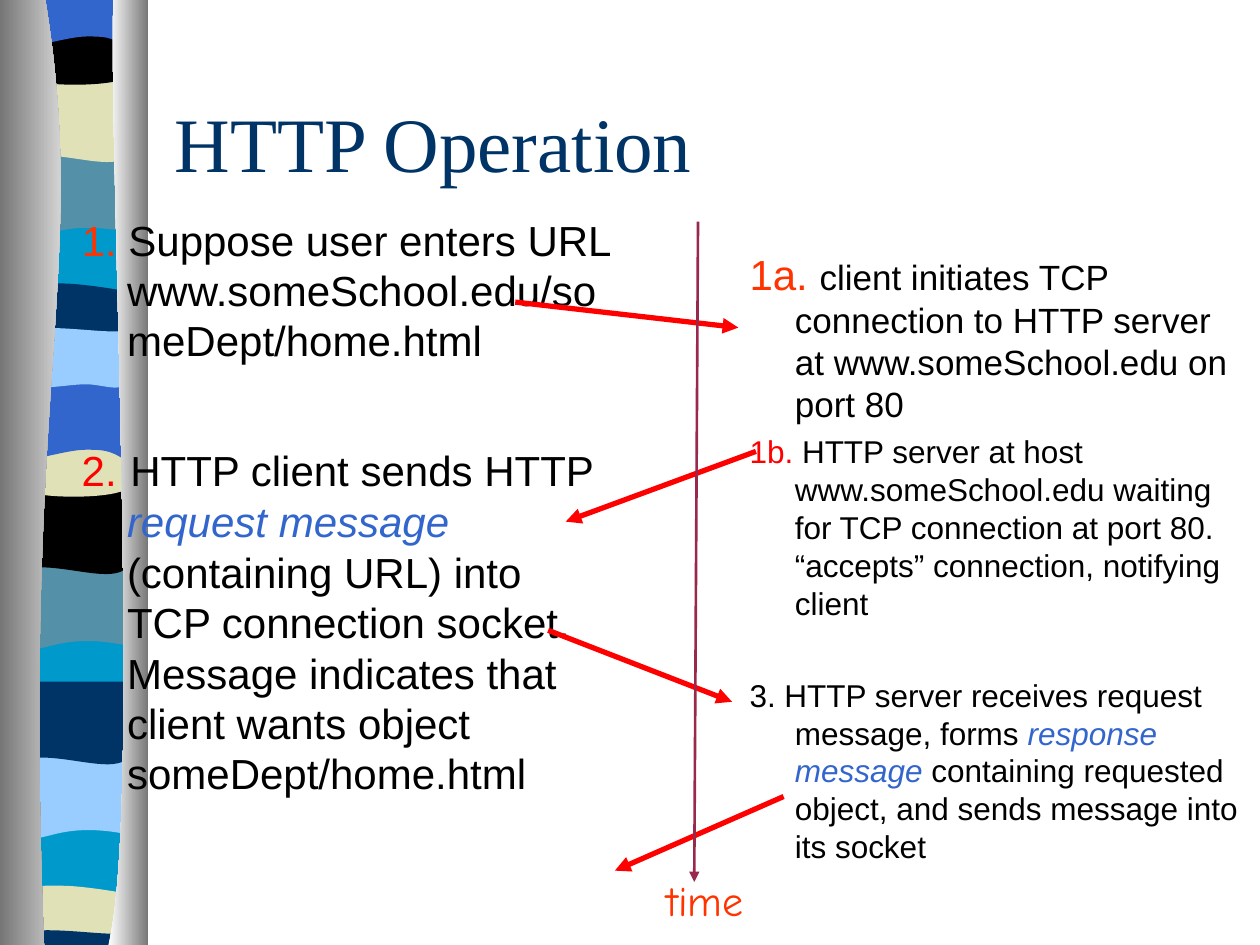
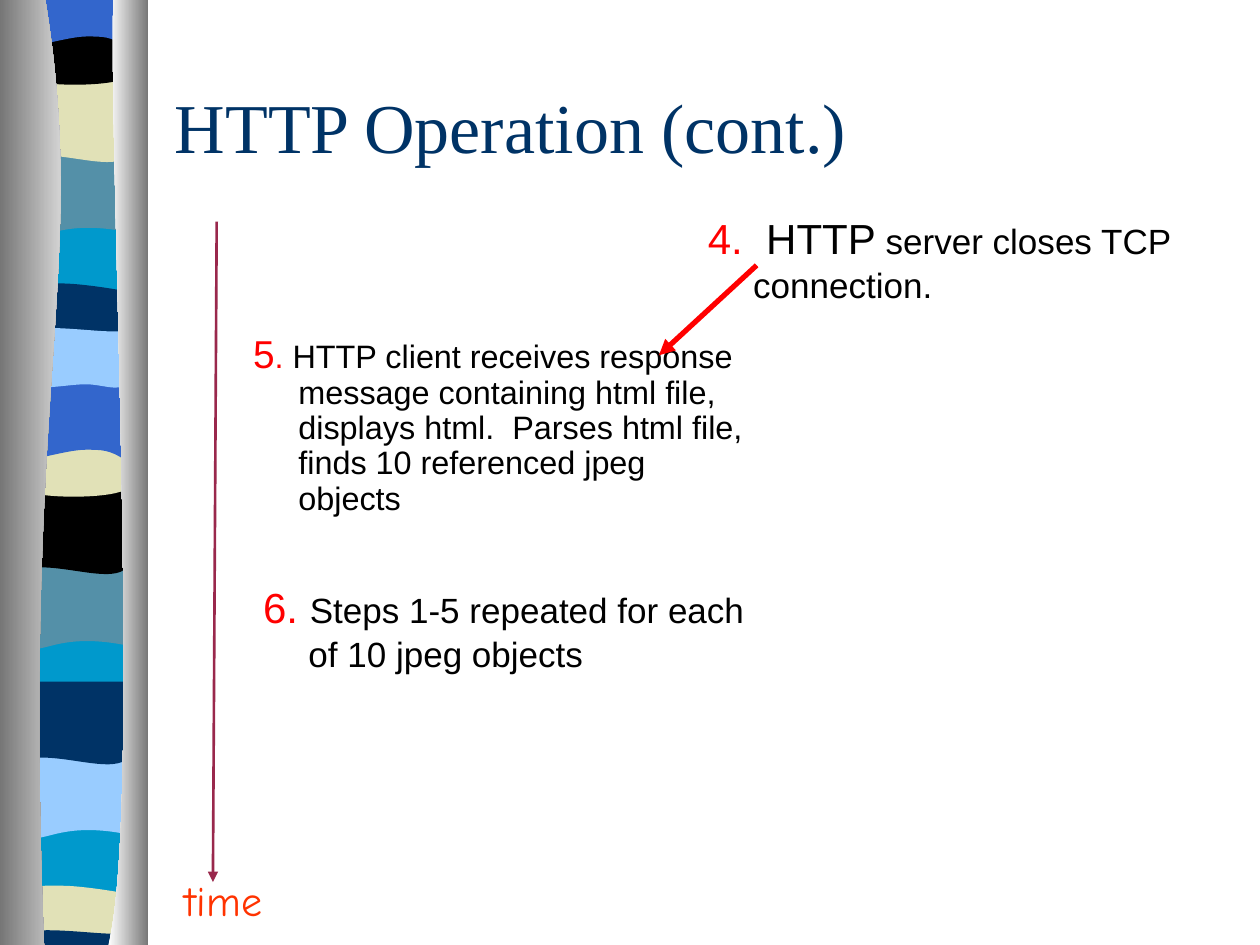
import pptx
import pptx.util
import pptx.dml.color
import pptx.enum.shapes
import pptx.enum.text
import pptx.oxml.ns
import lxml.etree

Inches = pptx.util.Inches
qn = pptx.oxml.ns.qn
SLIDE_WIDTH, SLIDE_HEIGHT = 10, 7.5
SANS, SERIF, HAND = "Arial", "Times New Roman", "Comic Neue"
BLACK, NAVY, BLUE, SKY = "000000", "003366", "3366CC", "99CCFF"
CYAN, TEAL, CREAM = "0099CC", "5490A8", "E1E1B7"
RED, ORANGE, WINE = "FF0000", "FF3300", "99284C"
GREY, WHITE = "767676", "FFFFFF"

WAVES = {
    "backing": [(0.81, 0), (0.81, 9.97), (0, 9.97), (0, 0)],
    "ripple": [(0.81, 0), (0.81, 0.62),
               ((0.25, 0.51), (0.14, 0.73), (0, 0.62)), (0, 0)],
    "slope": [(0.81, 0), (0.81, 0.62),
              ((0.67, 0.73), (0.25, 0.55), (0, 0.62)), (0, 0)],
    "bowl": [(0.81, 0), (0.81, 0.43),
             ((0.67, 0.5), (0.14, 0.5), (0, 0.43)), (0, 0),
             ((0.5, 0.06), (0.64, 0), (0.81, 0))],
    "arch": [(0.81, 0), (0.81, 0.63),
             ((0.69, 0.55), (0.63, 0.55), (0.5, 0.55)),
             ((0.36, 0.55), (0.12, 0.63), (0, 0.63)), (0, 0)],
    "lens": [(0.81, 0.07), (0.81, 0.39),
             ((0.68, 0.44), (0.14, 0.44), (0, 0.39)), (0, 0.07),
             ((0.05, 0), (0.18, 0.01), (0.31, 0.01)),
             ((0.45, 0.01), (0.71, 0.05), (0.81, 0.07))],
    "swell": [(0.81, 0.06), (0.81, 0.48),
              ((0.76, 0.54), (0.63, 0.48), (0.5, 0.48)),
              ((0.36, 0.48), (0.08, 0.54), (0, 0.48)), (0, 0.06),
              ((0.12, 0), (0.55, 0.06), (0.69, 0.06)), (0.81, 0.06)],
}
BANDS = [
    ("backing", 0.19, -1.26, CYAN),
    ("ripple", 0.19, 1.22, TEAL), ("slope", 0.19, 0.63, CREAM),
    ("bowl", 0.19, 0.19, BLACK), ("arch", 0.19, -0.26, BLUE),
    ("ripple", 0.18, 4.5, TEAL), ("slope", 0.18, 3.9, BLACK),
    ("lens", 0.18, 2.24, NAVY), ("bowl", 0.18, 3.46, CREAM),
    ("arch", 0.18, 3.02, BLUE), ("swell", 0.18, 2.57, SKY),
    ("ripple", 0.19, 6, SKY), ("slope", 0.19, 5.41, NAVY),
    ("lens", 0.18, 7.02, CREAM), ("swell", 0.18, 7.35, NAVY),
]
LEFT_EDGE = [(0.36, 0), ((0.71, 2.16), (0.17, 2.96), (0.35, 7.5)),
             (0, 7.5), (0, 0)]
RIGHT_EDGE = [(0.9, 0), ((0.86, 1.25), (1.13, 6.46), (0.86, 7.5)),
              (1.18, 7.5), (1.18, 0)]


def rgb(color):
    return pptx.dml.color.RGBColor.from_string(color)


def is_curve(part):
    return isinstance(part[0], tuple)


def add_outline(page, outline, left=0, top=0):
    points = [(Inches(left + x), Inches(top + y)) for part in outline
              for x, y in (part if is_curve(part) else (part,))]
    builder = page.shapes.build_freeform(*points[0], scale=1.0)
    builder.add_line_segments(points[1:], close=True)
    shape = builder.convert_to_shape()
    segments = iter(list(shape._element.iter(qn("a:lnTo"))))
    for part in outline[1:]:
        segment = next(segments)
        if is_curve(part):
            curve = lxml.etree.Element(qn("a:cubicBezTo"))
            segment.addprevious(curve)
            for piece in (segment, next(segments), next(segments)):
                curve.append(piece[0])
                piece.getparent().remove(piece)
    shape.shadow.inherit = False
    shape.line.fill.background()
    return shape


def add_ribbon(page):
    for wave, left, top, color in BANDS:
        fill = add_outline(page, WAVES[wave], left, top).fill
        fill.solid()
        fill.fore_color.rgb = rgb(color)
    for edge, colors in ((LEFT_EDGE, (GREY, WHITE)), (RIGHT_EDGE, (WHITE, GREY))):
        fill = add_outline(page, edge).fill
        fill.gradient()
        fill.gradient_angle = 0
        for stop, color in zip(fill.gradient_stops, colors):
            stop.color.rgb = rgb(color)


def add_span(para, text, size=24, color=BLACK, font=SANS, italic=False):
    span = para.add_run()
    span.text = text
    span.font.size = pptx.util.Pt(size)
    span.font.name = font
    span.font.italic = italic
    span.font.color.rgb = rgb(color)


def add_text_frame(page, box, wrap=True):
    frame = page.shapes.add_textbox(*map(Inches, box)).text_frame
    frame.word_wrap = wrap
    return frame


def add_title(page, box, text, size):
    frame = add_text_frame(page, box)
    frame.vertical_anchor = pptx.enum.text.MSO_ANCHOR.MIDDLE
    add_span(frame.paragraphs[0], text, size=size, color=NAVY, font=SERIF)


def add_steps(page, box, steps, gaps=(), line_spacing=None):
    frame = add_text_frame(page, box)
    for index, spans in enumerate(steps):
        para = frame.add_paragraph() if index else frame.paragraphs[0]
        properties = para._p.get_or_add_pPr()
        properties.set("marL", str(Inches(0.37)))
        properties.set("indent", str(Inches(-0.36)))
        if index:
            para.space_before = pptx.util.Pt(gaps[index - 1])
        if line_spacing:
            para.line_spacing = line_spacing
        for text, style in spans:
            add_span(para, text, **style)


def add_arrow(page, start, end, color=RED, width=3):
    arrow = page.shapes.add_connector(
        pptx.enum.shapes.MSO_CONNECTOR.STRAIGHT, *map(Inches, start + end))
    arrow.line.color.rgb = rgb(color)
    arrow.line.width = pptx.util.Pt(width)
    line = arrow.line._get_or_add_ln()
    line.set("cap", "sq")
    lxml.etree.SubElement(line, qn("a:tailEnd"), type="triangle")
    lxml.etree.SubElement(arrow._element.spPr, qn("a:effectLst"))


def add_time_axis(page, box):
    left, top, width, height = box
    label_height = 0.5
    label_top = top + height - label_height
    add_arrow(page, (left + 0.35, top), (left + 0.32, label_top + 0.11),
              color=WINE, width=1.5)
    frame = add_text_frame(page, (left, label_top, width, label_height), wrap=False)
    frame.margin_left = frame.margin_right = 0
    frame.auto_size = pptx.enum.text.MSO_AUTO_SIZE.SHAPE_TO_FIT_TEXT
    frame.paragraphs[0].alignment = pptx.enum.text.PP_ALIGN.CENTER
    add_span(frame.paragraphs[0], "time", color=ORANGE, font=HAND)


def add_page(deck):
    page = deck.slides.add_slide(deck.slide_layouts[6])
    add_ribbon(page)
    return page


def build_operation(deck):
    page = add_page(deck)
    small = dict(size=18)
    server_steps = [
        [("1a. ", dict(color=ORANGE)),
         ("client initiates TCP connection to HTTP server at "
          "www.someSchool.edu on port 80", dict(size=20))],
        [("1b.", dict(size=18, color=RED)),
         (" HTTP server at host www.someSchool.edu waiting for TCP connection "
          "at port 80.  “accepts” connection, notifying client", small)],
        [("3. HTTP server receives request message, forms ", small),
         ("response message", dict(size=18, color=BLUE, italic=True)),
         (" containing requested object, and sends message into its socket", small)],
    ]
    add_steps(page, (5.84, 1.92, 4.17, 5.71), server_steps, gaps=(4.5, 31))
    add_title(page, (1.29, 0.5, 8.5, 1.25), "HTTP Operation", 44)
    add_steps(page, (0.54, 1.65, 4.41, 4.92), [[
        ("1.", dict(color=ORANGE)),
        (" Suppose user enters URL www.someSchool.edu/someDept/home.html", {})]])
    add_steps(page, (0.54, 3.42, 4.36, 3.43), [[
        ("2.", dict(color=RED)), (" ", dict(size=28)),
        ("HTTP client sends HTTP ", {}),
        ("request message", dict(color=BLUE, italic=True)),
        (" (containing URL) into TCP connection socket. Message indicates that "
         "client wants object someDept/home.html", {})]])
    for start, end in (((4.11, 2.4), (5.86, 2.6)), ((4.37, 5.01), (5.81, 5.57)),
                       ((6.2, 6.33), (4.88, 6.91)), ((5.98, 3.59), (4.49, 4.14))):
        add_arrow(page, start, end)
    add_time_axis(page, (5.19, 1.77, 0.81, 5.62))


def build_continuation(deck):
    page = add_page(deck)
    add_title(page, (1.29, 0.5, 8.5, 1), "HTTP Operation (cont.)", 40)
    add_steps(page, (1.9, 2.61, 4.17, 1.84), [[
        ("5", dict(size=22.2, color=RED)), (".", dict(size=18.5, color=RED)),
        (" HTTP client receives response message containing html file, displays "
         "html.  Parses html file, finds 10 referenced jpeg  objects",
         dict(size=18.5))]], line_spacing=0.9)
    add_steps(page, (1.98, 4.57, 4.17, 0.73), [[
        ("6. ", dict(color=RED)),
        ("Steps 1-5 repeated for each of 10 jpeg objects", dict(size=20))]])
    add_steps(page, (5.51, 1.64, 4.17, 0.8), [[
        ("4. ", dict(color=RED)), (" HTTP", {}),
        (" server closes TCP connection.", dict(size=20))]])
    add_arrow(page, (5.99, 2.12), (5.23, 2.82))
    add_time_axis(page, (1.37, 1.77, 0.81, 5.62))


def main():
    deck = pptx.Presentation()
    deck.slide_width = Inches(SLIDE_WIDTH)
    deck.slide_height = Inches(SLIDE_HEIGHT)
    build_operation(deck)
    build_continuation(deck)
    deck.save("out.pptx")


if __name__ == "__main__":
    main()
